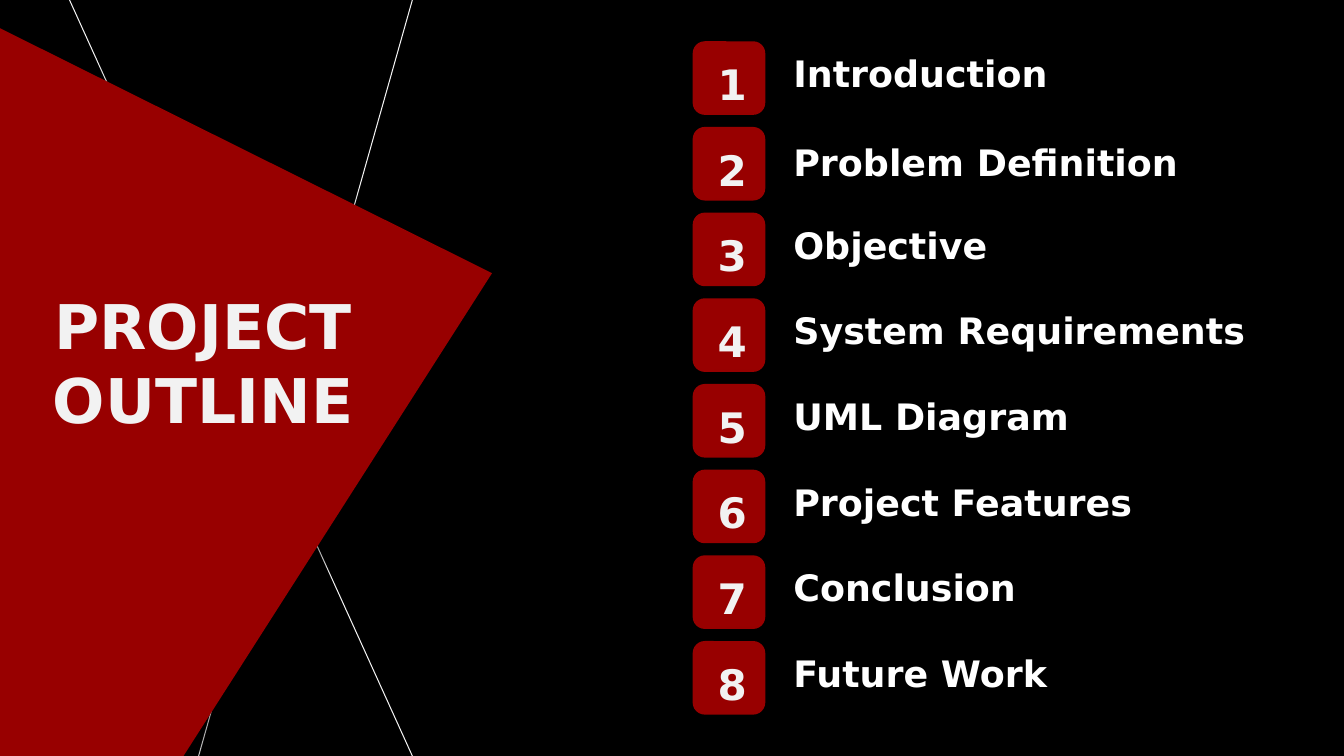
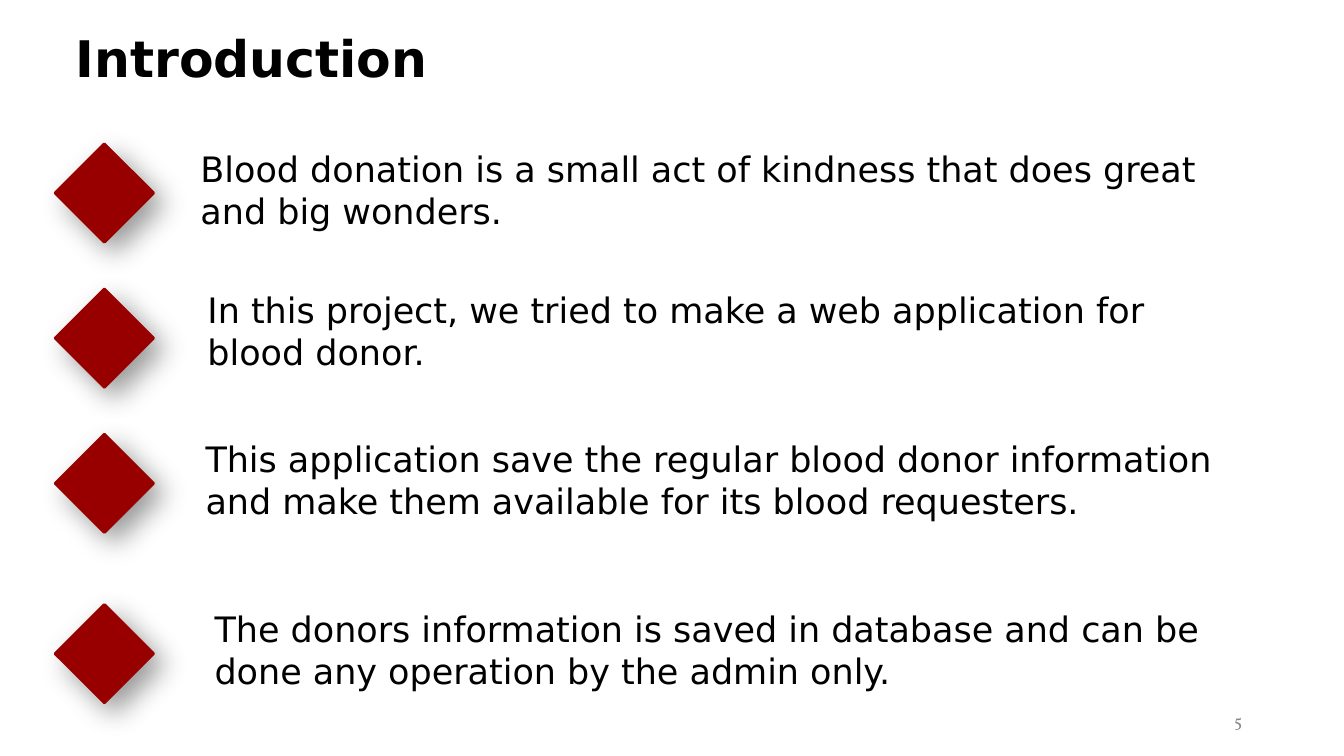
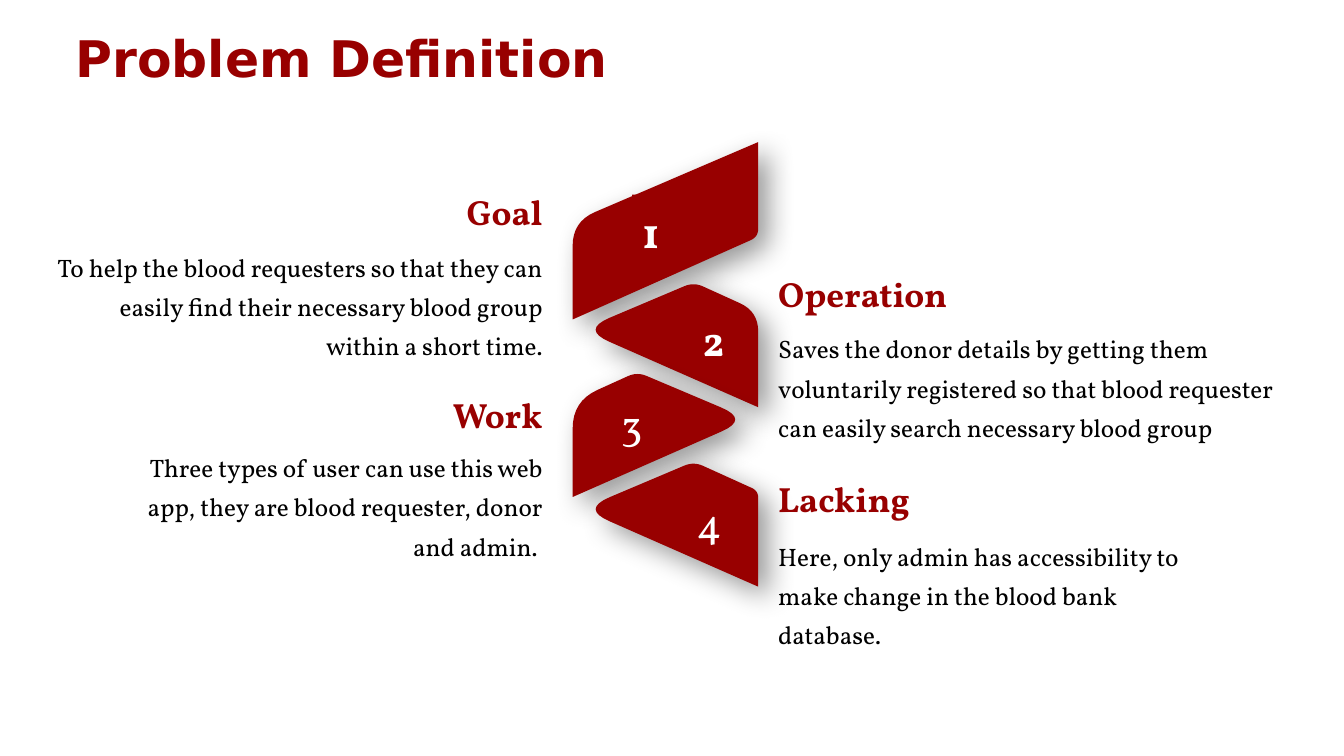
from math import dist

from pptx import Presentation
from pptx.dml.color import RGBColor
from pptx.enum.shapes import MSO_CONNECTOR as Conn, MSO_SHAPE as Form
from pptx.enum.text import MSO_ANCHOR as Anchor, MSO_AUTO_SIZE as Fit, PP_ALIGN as Align
from pptx.oxml import parse_xml
from pptx.oxml.ns import nsdecls, qn
from pptx.util import Inches, Pt

RED, BLACK, WHITE, PALE, GREY = "980000", "000000", "FFFFFF", "F2F2F2", "888888"
SANS, SERIF = "DejaVu Sans", "Vollkorn"


def tint(code):
    return RGBColor.from_string(code)


def toward(a, b, far):
    part = far / dist(a, b)
    return tuple(p + (q - p) * part for p, q in zip(a, b))


def soften(corners, steps=8):
    out = []
    for i, (tip, cut) in enumerate(corners):
        if not cut:
            out.append(tip)
            continue
        a = toward(tip, corners[i - 1][0], cut)
        b = toward(tip, corners[(i + 1) % len(corners)][0], cut)
        for k in range(steps + 1):
            t = k / steps
            u = 1 - t
            out.append(tuple(u * u * p + 2 * u * t * q + t * t * r
                             for p, q, r in zip(a, tip, b)))
    return out


class Deck:
    def __init__(self):
        self.prs = Presentation()
        self.prs.slide_width, self.prs.slide_height = Inches(13.33), Inches(7.5)
        self.page = None

    def start(self, back):
        self.page = self.prs.slides.add_slide(self.prs.slide_layouts[6])
        fill = self.page.background.fill
        fill.solid()
        fill.fore_color.rgb = tint(back)

    def paint(self, shape, shade=True):
        shape.shadow.inherit = False
        shape.fill.solid()
        shape.fill.fore_color.rgb = tint(RED)
        shape.line.fill.background()
        if shade:
            shape._element.spPr.find(qn("a:effectLst")).append(parse_xml(
                f'<a:outerShdw {nsdecls("a")} blurRad="{Pt(20)}" dist="{Pt(10)}" '
                'dir="2700000" algn="tl" rotWithShape="0"><a:srgbClr val="000000">'
                '<a:alpha val="40000"/></a:srgbClr></a:outerShdw>'))
        return shape

    def block(self, form, x, y, w, h, shade=True):
        spot = map(Inches, (x, y, w, h))
        return self.paint(self.page.shapes.add_shape(form, *spot), shade)

    def outline(self, pts):
        pts = [(Inches(x), Inches(y)) for x, y in pts]
        pen = self.page.shapes.build_freeform(*pts[0])
        pen.add_line_segments(pts[1:], close=True)
        return self.paint(pen.convert_to_shape())

    def leaf(self, drop, flip, cut):
        corners = [((5.77, 3.27), 0.3), ((6.88, 2.8), 0.1),
                   ((7.52, 3.09), cut), ((7.52, 4.04), 0)]
        self.outline(soften([((13.2 - x if flip else x, y + drop), c)
                             for (x, y), c in corners]))

    def line(self, *ends):
        rule = self.page.shapes.add_connector(Conn.STRAIGHT, *map(Inches, ends))
        rule.line.color.rgb = tint(PALE)
        rule.line.width = Pt(0.75)
        rule._element.spPr.append(parse_xml(f'<a:effectLst {nsdecls("a")}/>'))

    def text(self, x, y, w, h, words, size, hue, font=SANS, bold=False, align=Align.LEFT,
             lead=None, pad=0.05, grow=False, anchor=Anchor.TOP, filled=False):
        if filled:
            box = self.block(Form.RECTANGLE, x, y, w, h, shade=False)
        else:
            box = self.page.shapes.add_textbox(*map(Inches, (x, y, w, h)))
        frame = box.text_frame
        frame.text = words
        frame.word_wrap = True
        frame.auto_size = Fit.SHAPE_TO_FIT_TEXT if grow else Fit.NONE
        frame.vertical_anchor = anchor
        frame.margin_left = frame.margin_right = Inches(0.1)
        frame.margin_top = frame.margin_bottom = Inches(pad)
        para = frame.paragraphs[0]
        para.alignment = align
        if lead:
            para.line_spacing = lead
        face = para.runs[0].font
        face.name, face.size, face.bold = font, Pt(size), bold
        face.color.rgb = tint(hue)

    def title(self, words, hue):
        self.text(0.65, 0.22, 6.75, 0.71, words, 36, hue, bold=True)


def agenda(deck):
    deck.start(BLACK)
    deck.line(4.09, 0, 1.97, 7.5)
    deck.line(4.09, 7.5, 0.69, 0)
    deck.outline([(1.82, 7.5), (0, 7.5), (0, 0.28), (4.88, 2.71)])
    deck.text(0.09, 2.81, 3.85, 2.16, "PROJECT OUTLINE", 44, PALE, bold=True, align=Align.CENTER)
    items = ["Introduction", "Problem Definition", "Objective", "System Requirements",
             "UML Diagram", "Project Features", "Conclusion", "Future Work"]
    for i, name in enumerate(items):
        top = 0.41 + 0.85 * i
        drop = 0.08 if i == 1 else 0.05
        deck.block(Form.ROUNDED_RECTANGLE, 6.87, top, 0.72, 0.73)
        deck.text(7.02, top + 0.12, 0.43, 0.49, str(i + 1), 30, PALE, bold=True, filled=True)
        deck.text(7.77, top + drop, 4.83, 0.59, name, 26, WHITE, bold=True)


def intro(deck):
    deck.start(WHITE)
    deck.title("Introduction", BLACK)
    points = [
        (1.57, 1.89, 1.36, 10.54,
         "Blood donation is a small act of kindness that does great and big wonders."),
        (3.01, 1.96, 2.76, 10.4,
         "In this project, we tried to make a web application for blood donor."),
        (4.45, 1.94, 4.24, 10.27,
         "This application save the regular blood donor information and make them "
         "available for its blood requesters."),
        (6.14, 2.03, 5.93, 10.27,
         "The donors information is saved in database and can be done any operation "
         "by the admin only."),
    ]
    for top, x, y, w, words in points:
        gem = deck.block(Form.RECTANGLE, 0.69, top, 0.69, 0.69)
        gem.rotation = 45
        gem.line.color.rgb = tint(RED)
        gem.line.width = Pt(2)
        deck.text(x, y, w, 1.04, words, 25, BLACK, pad=0.1, grow=True)
    deck.text(9.42, 6.95, 3, 0.4, "5", 12, GREY, SERIF, align=Align.RIGHT, anchor=Anchor.MIDDLE)


def problem(deck):
    deck.start(WHITE)
    deck.outline(soften([((7.52, 1.41), 0), ((7.52, 2.35), 0.08),
                         ((5.68, 3.17), 0), ((5.68, 2.2), 0.24)]))
    for i, cut in enumerate((0.2, 0.27, 0.07)):
        deck.leaf(0.89 * i, i == 1, cut)
    left, right = Align.LEFT, Align.RIGHT
    notes = [
        (right, "Goal", 1.84, 2.36, 5.11,
         "To help the blood requesters so that they can easily find their necessary "
         "blood group within a short time."),
        (left, "Operation", 2.65, 3.17, 5.35,
         "Saves the donor details by getting them voluntarily registered so that blood "
         "requester can easily search necessary blood group"),
        (right, "Work", 3.85, 4.35, 4.25,
         "Three types of user can use this web app, they are blood requester, donor "
         "and admin. "),
        (left, "Lacking", 4.69, 5.23, 4.25,
         "Here, only admin has accessibility to make change in the blood bank database."),
    ]
    for side, head, top, y, w, words in notes:
        x, hx = (7.62, 7.62) if side == left else (5.48 - w, 3.02)
        deck.text(hx, top, 2.46, 0.44, head, 25, RED, SERIF, bold=True, align=side)
        deck.text(x, y, w, 1.24, words, 18, BLACK, SERIF, align=side, lead=1.3)
    deck.title("Problem Definition", RED)
    marks = [(6.27, 1.93, 31, True), (6.87, 3.02, 30, True),
             (6.06, 3.85, 30, False), (6.81, 4.83, 30, False)]
    for i, (x, y, size, strong) in enumerate(marks, 1):
        deck.text(x, y, 0.45, 0.71, str(i), size, WHITE, SERIF, bold=strong,
                  pad=0.1, grow=True, filled=strong)


def main():
    deck = Deck()
    agenda(deck)
    intro(deck)
    problem(deck)
    deck.prs.save("out.pptx")


if __name__ == "__main__":
    main()
